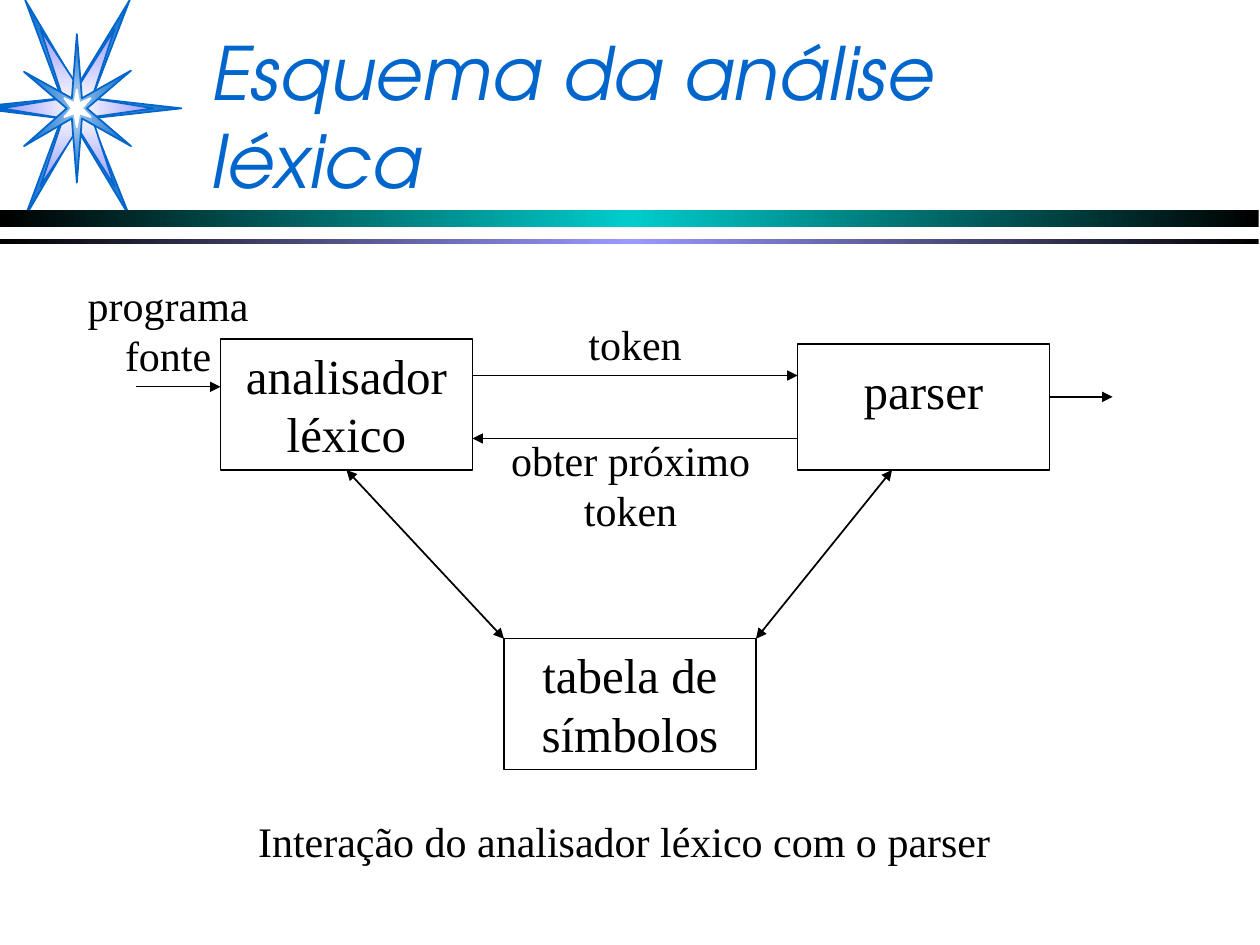
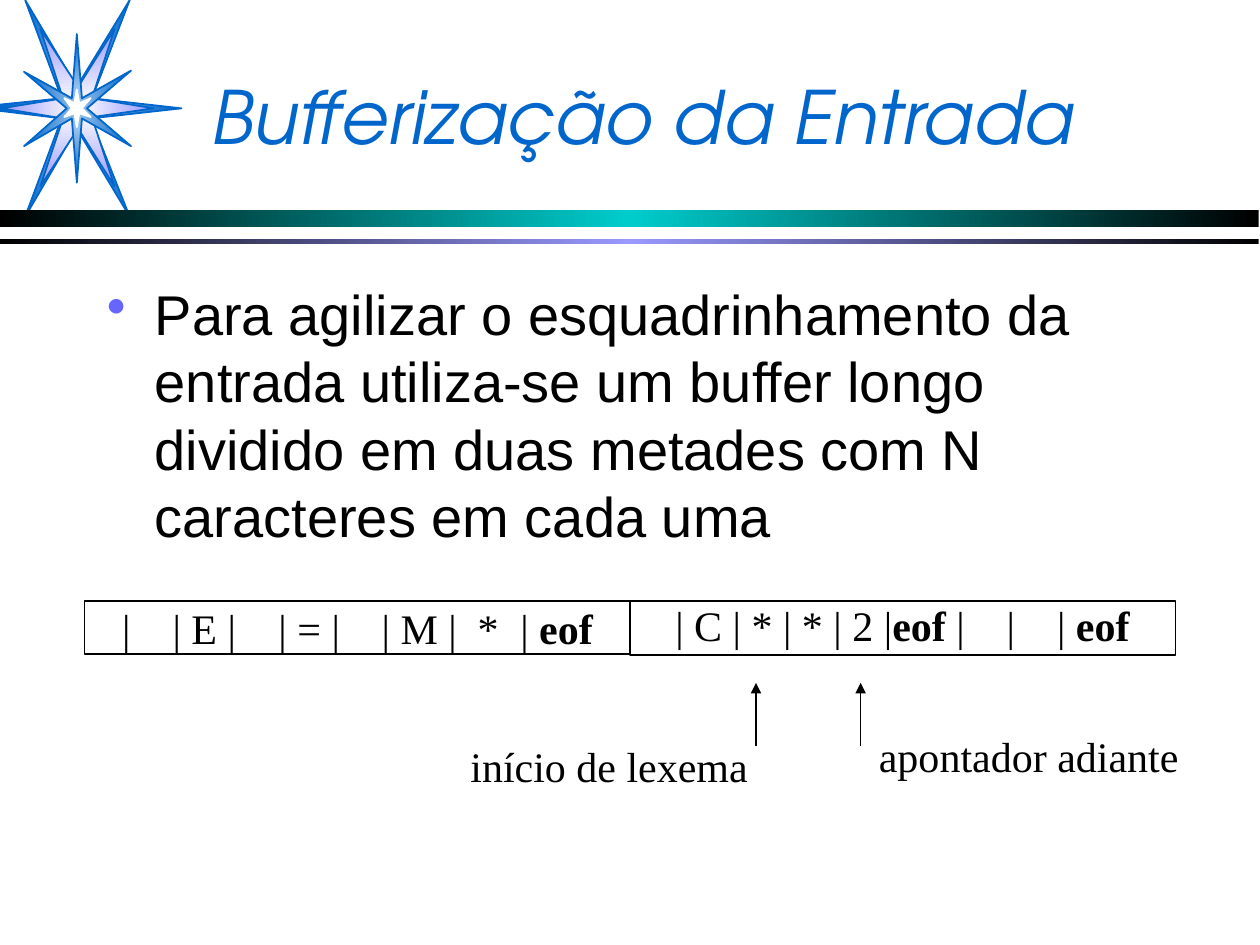
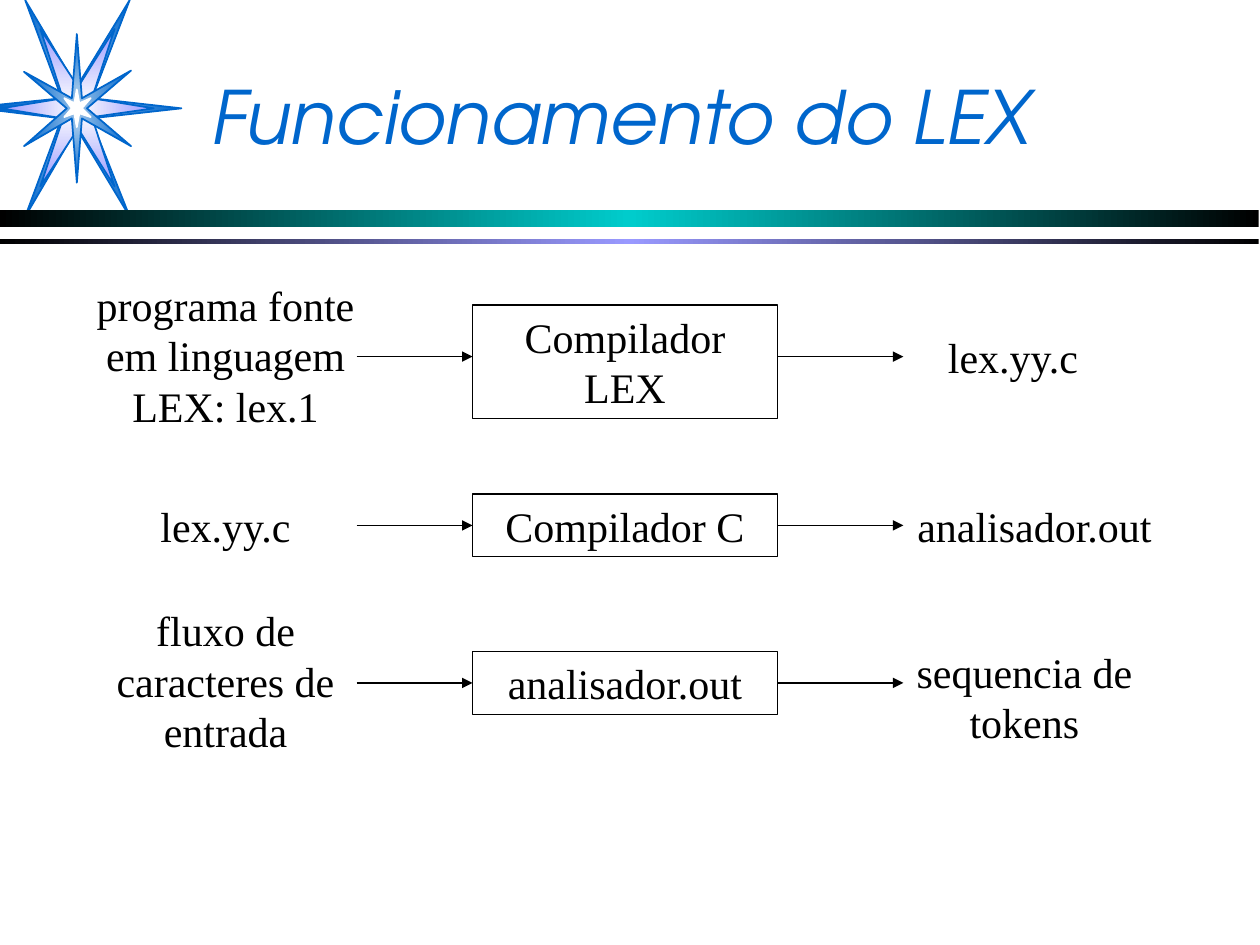
from dataclasses import dataclass
from typing import Any, NamedTuple, Optional

from lxml.etree import SubElement
from pptx import Presentation
from pptx.dml.color import RGBColor
from pptx.enum.shapes import MSO_CONNECTOR, MSO_SHAPE
from pptx.enum.text import MSO_ANCHOR, PP_ALIGN
from pptx.oxml import parse_xml
from pptx.oxml.ns import nsdecls, qn
from pptx.util import Inches, Pt

BLACK = RGBColor(0x00, 0x00, 0x00)
WHITE = RGBColor(0xFF, 0xFF, 0xFF)
BLUE = RGBColor(0x00, 0x66, 0xCC)
MID_BLUE = RGBColor(0x7E, 0xB1, 0xE4)
PALE_BLUE = RGBColor(0x98, 0xC1, 0xE9)
NEAR_WHITE = RGBColor(0xFE, 0xFE, 0xFE)
LILAC = RGBColor(0x99, 0x99, 0xFF)
TEAL = RGBColor(0x00, 0xCC, 0xCC)
VIOLET = RGBColor(0x66, 0x66, 0xFF)

SERIF = "Times New Roman"
SANS = "Arial"
TITLE_FONT = "TeX Gyre Adventor"

BOTTOM, LEFT, RIGHT = 2, 1, 3

Point = tuple[float, float]


class Run(NamedTuple):
    text: str
    bold: bool = False


@dataclass(frozen=True)
class Label:
    runs: tuple[Run, ...]
    left: float
    top: float
    width: float
    height: float
    size: int = 24
    font: str = SERIF
    color: RGBColor = BLACK
    italic: bool = False
    align: Optional[PP_ALIGN] = PP_ALIGN.CENTER
    anchor: MSO_ANCHOR = MSO_ANCHOR.TOP
    inset_x: float = 0.1
    inset_top: float = 0.05
    inset_bottom: float = 0.05
    tabs: tuple[float, ...] = ()
    bullet: bool = False


@dataclass(frozen=True)
class Arrow:
    start: Point
    end: Point
    width: float = 0.75
    both_ends: bool = False


class Star(NamedTuple):
    points: tuple[Point, ...]
    line: RGBColor
    colors: tuple[RGBColor, ...]


class Band(NamedTuple):
    top: float
    height: float
    middle: RGBColor


class Step(NamedTuple):
    source: Label
    tool: Label
    result: Label
    arrow_y: float


STARS = (
    Star(((0.49, 0.78), (0.2, 0), (0.61, 0.69), (1.03, 0), (0.73, 0.78),
          (1.44, 0.86), (0.72, 0.94), (1.03, 1.72), (0.61, 1.02), (0.2, 1.72),
          (0.49, 0.94), (0, 0.88), (0, 0.83)), BLUE, (MID_BLUE, BLUE)),
    Star(((0.5, 0.78), (0.32, 0.23), (0.62, 0.69), (0.91, 0.23), (0.73, 0.78),
          (1.22, 0.86), (0.73, 0.93), (0.91, 1.48), (0.62, 1.02), (0.32, 1.48),
          (0.5, 0.94), (0.01, 0.86)), BLUE, (NEAR_WHITE, LILAC)),
    Star(((0.19, 0.57), (0.57, 0.78), (0.61, 0.27), (0.65, 0.78), (1.04, 0.56),
          (0.69, 0.86), (1.04, 1.16), (0.65, 0.94), (0.61, 1.45), (0.57, 0.94),
          (0.19, 1.16), (0.53, 0.86)), BLUE, (PALE_BLUE, BLUE)),
    Star(((0.51, 0.78), (0.59, 0.82), (0.61, 0.71), (0.63, 0.82), (0.72, 0.78),
          (0.65, 0.86), (0.72, 0.93), (0.63, 0.9), (0.61, 1.01), (0.59, 0.9),
          (0.51, 0.93), (0.57, 0.86)), WHITE, (WHITE,)),
)
BANDS = (Band(1.67, 0.13, TEAL), Band(1.9, 0.04, LILAC))


def set_all(target: Any, values: dict[str, Any]) -> None:
    for name, value in values.items():
        setattr(target, name, value)


def set_gradient(shape: Any, colors: tuple[RGBColor, ...], direction: str) -> None:
    step = 100000 // (len(colors) - 1)
    stops = "".join(
        f'<a:gs pos="{i * step}"><a:srgbClr val="{color}"/></a:gs>'
        for i, color in enumerate(colors)
    )
    gradient = parse_xml(
        f'<a:gradFill {nsdecls("a")} rotWithShape="1">'
        f"<a:gsLst>{stops}</a:gsLst>{direction}</a:gradFill>"
    )
    shape.fill.background()
    properties = shape.fill._xPr
    properties.replace(properties.find(qn("a:noFill")), gradient)


def add_star(s: Any, star: Star) -> None:
    builder = s.shapes.build_freeform(
        *(Inches(value) for value in star.points[0])
    )
    builder.add_line_segments(
        [(Inches(x), Inches(y)) for x, y in star.points[1:]], close=True
    )
    shape = builder.convert_to_shape()
    shape.shadow.inherit = False
    if len(star.colors) == 1:
        shape.fill.solid()
        shape.fill.fore_color.rgb = star.colors[0]
    else:
        set_gradient(
            shape, star.colors,
            '<a:path path="rect"><a:fillToRect l="50000" t="50000" '
            'r="50000" b="50000"/></a:path>',
        )
    shape.line.color.rgb = star.line
    shape.line.width = Pt(1)


def add_band(s: Any, band: Band) -> None:
    shape = s.shapes.add_shape(
        MSO_SHAPE.RECTANGLE, 0, Inches(band.top), Inches(9.99), Inches(band.height)
    )
    shape.shadow.inherit = False
    set_gradient(shape, (BLACK, band.middle, BLACK), '<a:lin ang="10800000"/>')
    shape.line.fill.background()


def add_bullet(p: Any) -> None:
    properties = p._p.get_or_add_pPr()
    properties.set("marL", str(Inches(0.38)))
    properties.set("indent", str(-Inches(0.38)))
    color = SubElement(properties, qn("a:buClr"))
    SubElement(color, qn("a:srgbClr"), val=str(VIOLET))
    SubElement(properties, qn("a:buChar"), char="•")


def add_tabs(p: Any, positions: tuple[float, ...]) -> None:
    tab_list = SubElement(p._p.get_or_add_pPr(), qn("a:tabLst"))
    for position in positions:
        SubElement(tab_list, qn("a:tab"), pos=str(Inches(position)), algn="l")


def fill_text(shape: Any, label: Label) -> None:
    tf = shape.text_frame
    set_all(tf, {
        "word_wrap": True,
        "vertical_anchor": label.anchor,
        "margin_left": Inches(label.inset_x),
        "margin_right": Inches(0.1),
        "margin_top": Inches(label.inset_top),
        "margin_bottom": Inches(label.inset_bottom),
    })
    p = tf.paragraphs[0]
    if label.bullet:
        add_bullet(p)
    if label.tabs:
        add_tabs(p, label.tabs)
    p.alignment = label.align
    for run in label.runs:
        r = p.add_run()
        r.text = run.text
        set_all(r.font, {
            "name": label.font,
            "size": Pt(label.size),
            "bold": run.bold,
            "italic": label.italic,
        })
        r.font.color.rgb = label.color


def frame(label: Label) -> tuple[int, ...]:
    return tuple(
        Inches(v) for v in (label.left, label.top, label.width, label.height)
    )


def add_label(s: Any, label: Label) -> None:
    fill_text(s.shapes.add_textbox(*frame(label)), label)


def add_box(s: Any, label: Label) -> Any:
    box = s.shapes.add_shape(MSO_SHAPE.RECTANGLE, *frame(label))
    box.shadow.inherit = False
    box.fill.background()
    box.line.color.rgb = BLACK
    box.line.width = Pt(0.75)
    fill_text(box, label)
    return box


def add_arrow(s: Any, arrow: Arrow) -> Any:
    connector = s.shapes.add_connector(
        MSO_CONNECTOR.STRAIGHT, *(Inches(v) for v in arrow.start + arrow.end)
    )
    connector.line.color.rgb = BLACK
    connector.line.width = Pt(arrow.width)
    ln = connector.line._get_or_add_ln()
    if arrow.both_ends:
        SubElement(ln, qn("a:headEnd"), type="triangle")
    SubElement(ln, qn("a:tailEnd"), type="triangle")
    SubElement(connector._element.spPr, qn("a:effectLst"))
    return connector


def text_label(text: str, left: float, top: float, width: float,
               height: float, **options: Any) -> Label:
    return Label((Run(text),), left, top, width, height, **options)


def add_slide(prs: Any, title: str) -> Any:
    s = prs.slides.add_slide(prs.slide_layouts[6])
    for star in STARS:
        add_star(s, star)
    for band in BANDS:
        add_band(s, band)
    add_label(s, text_label(
        title, 1.58, 0.25, 7.67, 1.33, size=42, font=TITLE_FONT, color=BLUE,
        italic=True, align=PP_ALIGN.LEFT, anchor=MSO_ANCHOR.MIDDLE,
    ))
    return s


def build_scheme(prs: Any) -> None:
    s = add_slide(prs, "Esquema da análise léxica")
    lexer = add_box(s, text_label("analisador léxico", 1.75, 2.69, 2, 1.04, size=28))
    add_box(s, text_label("parser", 6.33, 2.73, 2, 1, size=28, inset_top=0.13))
    add_box(s, text_label("tabela de símbolos", 4, 5.07, 2, 1.04, size=28))
    for label in (
        text_label("token", 4.33, 2.48, 1.42, 0.5),
        text_label("obter próximo token", 3.92, 3.4, 2.17, 0.9),
        text_label("programa fonte", 0.5, 2.17, 1.67, 0.9),
        text_label("Interação do analisador léxico com o parser",
                   0.58, 6.42, 8.75, 0.5),
    ):
        add_label(s, label)
    for arrow in (
        Arrow((3.75, 2.98), (6.33, 2.98), 1),
        Arrow((6.33, 3.48), (3.75, 3.48), 1),
        Arrow((1.08, 3.07), (1.75, 3.07)),
        Arrow((8.33, 3.15), (8.83, 3.15), 1),
        Arrow((7.08, 3.73), (6, 5.07), 1, both_ends=True),
    ):
        add_arrow(s, arrow)
    lexer_to_table = add_arrow(s, Arrow((2.75, 3.73), (4, 5.07), 1, both_ends=True))
    lexer_to_table.begin_connect(lexer, BOTTOM)


def build_buffer(prs: Any) -> None:
    s = add_slide(prs, "Bufferização da Entrada")
    add_label(s, text_label(
        "Para agilizar o esquadrinhamento da entrada utiliza-se um buffer longo "
        "dividido em duas metades com N caracteres em cada uma",
        0.75, 2.17, 8.5, 2.33, size=32, font=SANS, align=PP_ALIGN.LEFT, bullet=True,
    ))
    eof = Run("eof", True)
    add_box(s, Label(
        (Run("|\t| E |\t| = |\t| M |\t*\t| "), eof),
        0.67, 4.77, 4.33, 0.42, align=PP_ALIGN.LEFT, inset_x=0.3,
        inset_top=0.01, inset_bottom=0.01, tabs=(0.4, 1.24, 2.06, 2.82, 3.16),
    ))
    add_box(s, Label(
        (Run("| C | * | * | 2 |"), eof, Run(" |\t|\t| "), eof),
        5, 4.77, 4.33, 0.43, align=PP_ALIGN.LEFT, anchor=MSO_ANCHOR.BOTTOM,
        inset_x=0.36, inset_top=0.04, inset_bottom=0.04, tabs=(2.63, 3.03),
    ))
    for x in (6, 6.83):
        add_arrow(s, Arrow((x, 5.92), (x, 5.42)))
    add_label(s, text_label("início de lexema", 3.5, 5.83, 2.67, 0.5))
    add_label(s, text_label("apontador adiante", 6.83, 5.75, 2.67, 0.5))


def build_lex(prs: Any) -> None:
    s = add_slide(prs, "Funcionamento do LEX")
    width = 2.42
    source_x, tool_x = 0.58, 3.75
    for step in (
        Step(text_label("programa fonte em linguagem LEX: lex.1",
                        source_x, 2.17, width, 1.3),
             text_label("Compilador LEX", tool_x, 2.42, width, 0.9),
             text_label("lex.yy.c", 7.08, 2.58, 1.92, 0.5), 2.83),
        Step(text_label("lex.yy.c", source_x, 3.92, width, 0.5),
             text_label("Compilador C", tool_x, 3.92, width, 0.5),
             text_label("analisador.out", 7, 3.92, width, 0.5), 4.17),
        Step(text_label("fluxo de caracteres de entrada",
                        source_x, 4.75, width, 1.3),
             text_label("analisador.out", tool_x, 5.17, width, 0.5),
             text_label("sequencia de tokens", 6.92, 5.08, width, 0.9), 5.42),
    ):
        add_label(s, step.source)
        box = add_box(s, step.tool)
        add_label(s, step.result)
        y = step.arrow_y
        incoming = add_arrow(s, Arrow((2.83, y), (tool_x, y)))
        outgoing = add_arrow(s, Arrow((tool_x + width, y), (7.17, y)))
        if abs(step.tool.top + step.tool.height / 2 - y) < 0.01:
            incoming.end_connect(box, LEFT)
            outgoing.begin_connect(box, RIGHT)


def main() -> None:
    prs = Presentation()
    prs.slide_width, prs.slide_height = Inches(10), Inches(7.5)
    build_scheme(prs)
    build_buffer(prs)
    build_lex(prs)
    prs.save("out.pptx")


if __name__ == "__main__":
    main()
